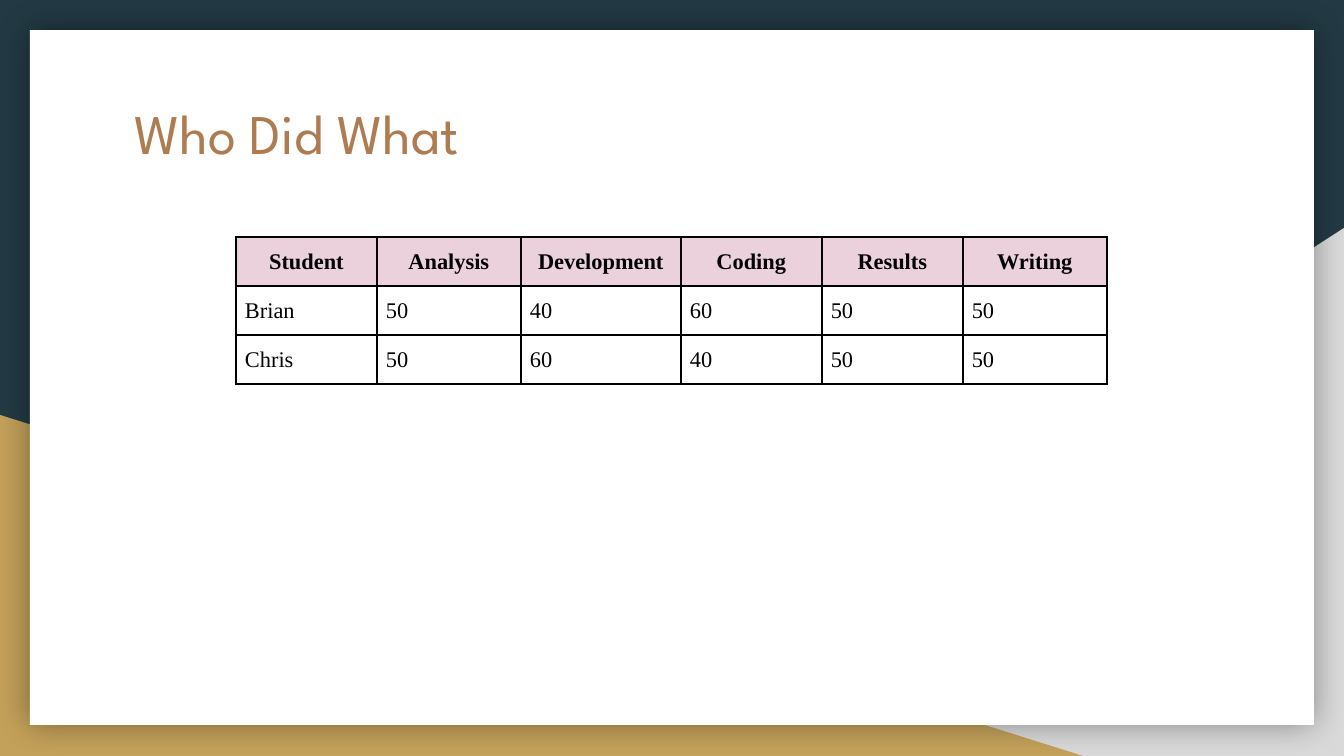
from lxml.etree import SubElement
from pptx import Presentation
from pptx.dml.color import RGBColor
from pptx.enum.shapes import MSO_SHAPE
from pptx.enum.text import MSO_ANCHOR, PP_ALIGN
from pptx.oxml.ns import qn
from pptx.util import Emu, Pt

SLIDE_WIDTH, SLIDE_HEIGHT = 1344, 756
COLUMN_WIDTHS = [141, 144, 160, 141, 141, 144]
ROW_HEIGHT = 43
WORK_SHARES = [
    ["Student", "Analysis", "Development", "Coding", "Results", "Writing"],
    ["Brian", "50", "40", "60", "50", "50"],
    ["Chris", "50", "60", "40", "50", "50"],
]


def px(length):
    return Emu(round(length * 914400 / 134.4))


def color(value):
    return RGBColor.from_string(value)


def write_text(frame, text, *, size, font, fill, bold=False,
               align=PP_ALIGN.LEFT, line_spacing=None, spacing=0):
    paragraph = frame.paragraphs[0]
    paragraph.alignment = align
    paragraph.line_spacing = line_spacing
    paragraph.space_before = paragraph.space_after = Pt(spacing)
    run = paragraph.add_run()
    run.text = text
    run.font.size = Pt(size)
    run.font.name = font
    run.font.bold = bold
    run.font.color.rgb = color(fill)


def add_panel(slide, kind, left, top, width, height, fill, flipped=False):
    shape = slide.shapes.add_shape(kind, px(left), px(top), px(width), px(height))
    shape.shadow.inherit = False
    shape.fill.solid()
    shape.fill.fore_color.rgb = color(fill)
    shape.line.fill.background()
    if flipped:
        shape._element.spPr.find(qn("a:xfrm")).set("flipH", "1")
    return shape


def add_glow_shadow(shape, blur, opacity):
    effects = shape._element.spPr.find(qn("a:effectLst"))
    shadow = SubElement(effects, qn("a:outerShdw"), blurRad=str(Pt(blur)),
                        dist="0", dir="0", algn="ctr", rotWithShape="0")
    shade = SubElement(shadow, qn("a:srgbClr"), val="000000")
    SubElement(shade, qn("a:alpha"), val=str(opacity * 1000))


def add_title(slide, text):
    frame = slide.shapes.add_textbox(px(121), px(86), px(1103), px(93)).text_frame
    frame.word_wrap = True
    frame.vertical_anchor = MSO_ANCHOR.BOTTOM
    frame.margin_left = frame.margin_right = px(13)
    frame.margin_top = frame.margin_bottom = px(13)
    write_text(frame, text, size=30, font="League Spartan", fill="AF7B51")


def add_borders(cell, line_color, width):
    properties = cell._tc.get_or_add_tcPr()
    for side in ("lnL", "lnR", "lnT", "lnB"):
        line = SubElement(properties, qn(f"a:{side}"), w=str(Pt(width)))
        fill = SubElement(line, qn("a:solidFill"))
        SubElement(fill, qn("a:srgbClr"), val=line_color)


def format_cell(cell, text, is_header):
    cell.margin_left = cell.margin_right = px(9)
    cell.margin_top = cell.margin_bottom = px(9)
    add_borders(cell, "000000", 1)
    if is_header:
        cell.fill.solid()
        cell.fill.fore_color.rgb = color("EAD1DC")
    else:
        cell.fill.background()
    write_text(cell.text_frame, text, size=12, font="Times New Roman",
               fill="000000", bold=is_header,
               align=PP_ALIGN.CENTER if is_header else PP_ALIGN.LEFT,
               line_spacing=1.15, spacing=12)


def add_work_table(slide, rows):
    table = slide.shapes.add_table(
        len(rows), len(COLUMN_WIDTHS), px(236), px(237),
        px(sum(COLUMN_WIDTHS)), px(ROW_HEIGHT * len(rows))).table
    table.first_row = table.horz_banding = False
    for column, width in zip(table.columns, COLUMN_WIDTHS):
        column.width = px(width)
    for row_index, values in enumerate(rows):
        table.rows[row_index].height = px(ROW_HEIGHT)
        for column_index, text in enumerate(values):
            format_cell(table.cell(row_index, column_index), text, row_index == 0)


def main():
    presentation = Presentation()
    presentation.slide_width = px(SLIDE_WIDTH)
    presentation.slide_height = px(SLIDE_HEIGHT)
    slide = presentation.slides.add_slide(presentation.slide_layouts[6])
    slide.background.fill.solid()
    slide.background.fill.fore_color.rgb = color("233A44")

    triangle = MSO_SHAPE.RIGHT_TRIANGLE
    add_panel(slide, triangle, 527, 228, 817, 528, "D9D9D9", flipped=True)
    add_panel(slide, triangle, 0, 415, 1083, 341, "C4A15A")
    paper = add_panel(slide, MSO_SHAPE.RECTANGLE, 30, 30, 1284, 695, "FFFFFF")
    add_glow_shadow(paper, 18, 40)

    add_title(slide, "Who Did What")
    add_work_table(slide, WORK_SHARES)
    presentation.save("out.pptx")


if __name__ == "__main__":
    main()
